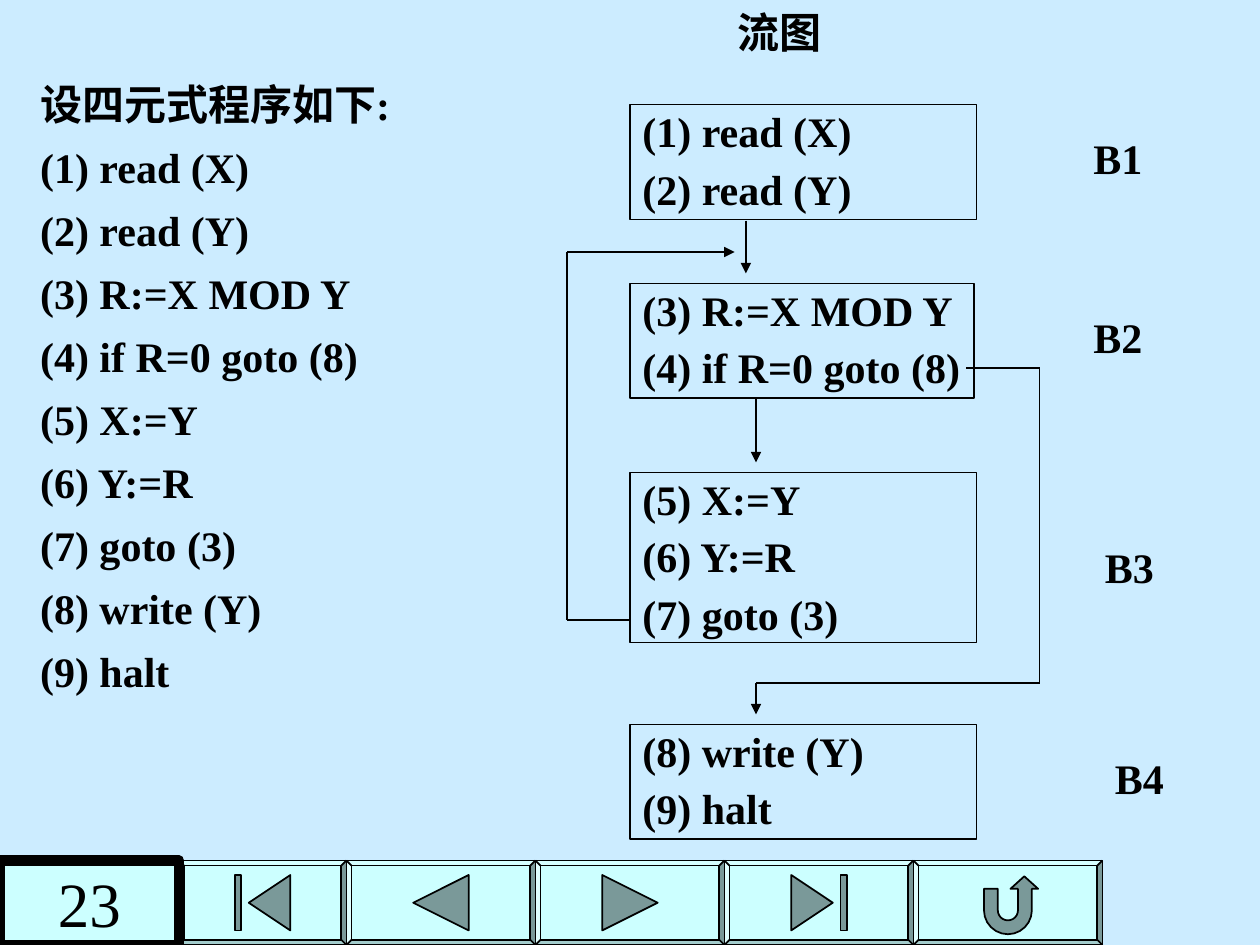
from dataclasses import dataclass
from math import cos, pi, sin

from lxml.etree import SubElement
from pptx import Presentation
from pptx.dml.color import RGBColor
from pptx.enum.shapes import MSO_CONNECTOR as Connector, MSO_SHAPE as Shape
from pptx.enum.text import MSO_ANCHOR as Anchor, PP_ALIGN as Align
from pptx.oxml.ns import qn
from pptx.util import Inches, Pt


@dataclass(frozen=True)
class Theme:
    font: str = "Times New Roman"
    ink: RGBColor = RGBColor(0, 0, 0)
    back: RGBColor = RGBColor(0xCC, 0xEC, 0xFF)
    button: RGBColor = RGBColor(0xCC, 0xFF, 0xFF)
    icon: RGBColor = RGBColor(0x7A, 0x99, 0x99)
    body: float = 24
    number: float = 36
    gap: float = 7.2
    thin: float = 0.75
    edge: float = 1
    frame: float = 6


THEME = Theme()
TITLE = "流图"
HEADING = "设四元式程序如下:"
CODE = ["(1) read (X)", "(2) read (Y)", "(3) R:=X MOD Y", "(4) if R=0 goto (8)", "(5) X:=Y",
        "(6) Y:=R", "(7) goto (3)", "(8) write (Y)", "(9) halt"]
BLOCK_LEFT = 5
BLOCKS = [
    ("B1", 0, 2, 0.83, 2.75, (8.58, 1)),
    ("B2", 2, 4, 2.25, 2.73, (8.58, 2.42)),
    ("B3", 4, 7, 3.75, 2.75, (8.67, 4.25)),
    ("B4", 7, 9, 5.75, 2.75, (8.75, 5.92)),
]
ROUTES = [
    [(5.92, 1.75), (5.92, 2.17)],
    [(6, 3.17), (6, 3.67)],
    [(7.67, 2.92), (8.25, 2.92), (8.25, 5.42), (6, 5.42), (6, 5.67)],
    [(5, 4.92), (4.5, 4.92), (4.5, 2), (5.83, 2)],
]
PAGE_NUMBER = "23"
BAR_TOP, BAR_HEIGHT, NUMBER_WIDTH = 6.83, 0.67, 1.42
BUTTON_EDGES = [NUMBER_WIDTH, 2.75, 4.25, 5.75, 7.25, 8.75]


def arc(radius, start, end, steps=12):
    angles = [start + (end - start) * step / steps for step in range(steps + 1)]
    return [(radius * cos(angle), 0.06 + radius * sin(angle)) for angle in angles]


def bar(left):
    return [(left, -0.22), (left + 0.05, -0.22), (left + 0.05, 0.22), (left, 0.22)]


def triangle(tip, base):
    return [(tip, 0), (base, -0.22), (base, 0.22)]


U_TURN = [(-0.19, -0.11), (-0.08, -0.11), *arc(0.08, pi, 0), (0.08, -0.11), (0.02, -0.11),
          (0.13, -0.21), (0.24, -0.11), (0.19, -0.11), *arc(0.19, 0, pi)]
ICONS = [
    [triangle(-0.11, 0.22), bar(-0.22)],
    [triangle(-0.22, 0.22)],
    [triangle(0.22, -0.22)],
    [triangle(0.11, -0.22), bar(0.17)],
    [U_TURN],
]


def inches(*lengths):
    return [Inches(length) for length in lengths]


def paint(shape, fill, width):
    shape.shadow.inherit = False
    if fill is None:
        shape.fill.background()
    else:
        shape.fill.solid()
        shape.fill.fore_color.rgb = fill
    shape.line.color.rgb = THEME.ink
    shape.line.width = Pt(width)


def write(shape, lines, spacing=1.0, size=THEME.body, bold=True, align=Align.LEFT,
          anchor=Anchor.TOP, wrap=False):
    frame = shape.text_frame
    frame.word_wrap = wrap
    frame.vertical_anchor = anchor
    frame.text = "\n".join(lines)
    for index, para in enumerate(frame.paragraphs):
        para.alignment = align
        para.line_spacing = spacing
        para.space_before = Pt(THEME.gap if index else 0)
        para.font.name = THEME.font
        para.font.size = Pt(size)
        para.font.bold = bold
        para.font.color.rgb = THEME.ink


def add_label(page, lines, left, top, width, height):
    box = page.shapes.add_textbox(*inches(left, top, width, height))
    write(box, lines)
    return box


def add_route(page, points):
    for start, end in zip(points, points[1:]):
        line = page.shapes.add_connector(Connector.STRAIGHT, *inches(*start, *end))
        line.line.color.rgb = THEME.ink
        line.line.width = Pt(THEME.thin)
        if end == points[-1]:
            SubElement(line.line._get_or_add_ln(), qn("a:tailEnd"), type="triangle")
        SubElement(line._element.spPr, qn("a:effectLst"))


def add_button(page, left, right, icon):
    place = inches(left, BAR_TOP, right - left, BAR_HEIGHT)
    button = page.shapes.add_shape(Shape.BEVEL, *place)
    button.adjustments[0] = 0.06
    paint(button, THEME.button, THEME.edge)
    middle_x, middle_y = (left + right) / 2, BAR_TOP + BAR_HEIGHT / 2
    for outline in icon:
        points = [inches(middle_x + x, middle_y + y) for x, y in outline]
        builder = page.shapes.build_freeform(*points[0])
        builder.add_line_segments(points[1:], close=True)
        paint(builder.convert_to_shape(), THEME.icon, THEME.edge)


def main():
    """Build the flow graph slide and save it."""
    deck = Presentation()
    deck.slide_width, deck.slide_height = inches(10, 7.5)
    page = deck.slides.add_slide(deck.slide_layouts[5])
    page.background.fill.solid()
    page.background.fill.fore_color.rgb = THEME.back

    title = page.shapes.title
    title.left, title.top, title.width, title.height = inches(5.75, 0, 0.87, 0.5)
    write(title, [TITLE])

    for left, right, icon in zip(BUTTON_EDGES, BUTTON_EDGES[1:], ICONS):
        add_button(page, left, right, icon)

    listing = add_label(page, [HEADING, *CODE], 0.22, 0.37, 3.06, 5.05)
    listing.text_frame.paragraphs[0].line_spacing = 1.5

    for name, first, last, top, width, label_place in BLOCKS:
        height = 0.03 + 0.44 * (last - first)
        block = page.shapes.add_shape(Shape.RECTANGLE, *inches(BLOCK_LEFT, top, width, height))
        paint(block, None, THEME.thin)
        write(block, CODE[first:last], spacing=0.9)
        add_label(page, [name], *label_place, 0.59, 0.5)

    for points in ROUTES:
        add_route(page, points)

    number = page.shapes.add_shape(Shape.RECTANGLE, *inches(0, BAR_TOP, NUMBER_WIDTH, BAR_HEIGHT))
    paint(number, THEME.button, THEME.frame)
    write(number, [PAGE_NUMBER], size=THEME.number, bold=False, align=Align.CENTER,
          anchor=Anchor.MIDDLE, wrap=True)
    deck.save("out.pptx")


if __name__ == "__main__":
    main()
